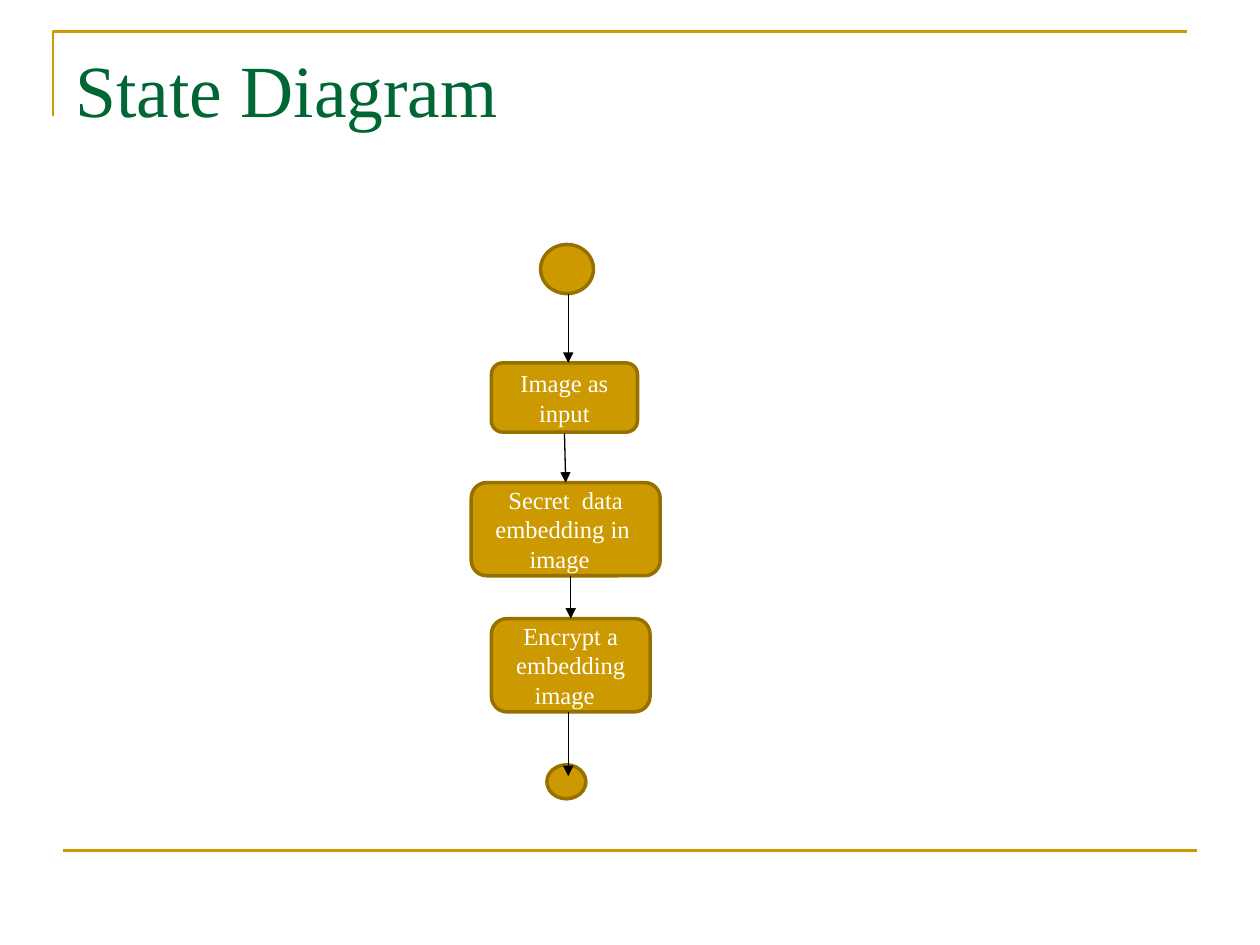
from pptx import Presentation
from pptx.dml.color import RGBColor
from pptx.enum.shapes import MSO_CONNECTOR, MSO_SHAPE
from pptx.enum.text import MSO_ANCHOR, PP_ALIGN
from pptx.oxml.ns import qn
from pptx.util import Inches, Pt
from lxml.etree import SubElement


def color(value):
    """Turn a hex string into a colour."""
    return RGBColor.from_string(value)


def write(frame, text, size=14, ink="FFFFFF", align=PP_ALIGN.CENTER, anchor=MSO_ANCHOR.MIDDLE):
    """Put formatted text into a text frame."""
    frame.word_wrap = True
    frame.vertical_anchor = anchor
    para = frame.paragraphs[0]
    para.alignment = align
    span = para.add_run()
    span.text = text
    span.font.name = "Times New Roman"
    span.font.size = Pt(size)
    span.font.color.rgb = color(ink)


class StateDiagram:
    """Hold the style and the current slide."""

    gold, edge, green, black = "CC9900", "977100", "006633", "000000"

    def __init__(self, page):
        """Start on a page."""
        self.page = page

    def title(self, text, left, top, width, height):
        """Place and fill the title."""
        box = self.page.shapes.title
        box.left, box.top, box.width, box.height = map(Inches, (left, top, width, height))
        write(box.text_frame, text, size=42, ink=self.green, align=PP_ALIGN.LEFT, anchor=MSO_ANCHOR.TOP)

    def corner(self, *points):
        """Draw an open outline through the points."""
        start, *rest = [(Inches(x), Inches(y)) for x, y in points]
        builder = self.page.shapes.build_freeform(*start)
        builder.add_line_segments(rest, close=False)
        shape = builder.convert_to_shape()
        shape.shadow.inherit = False
        shape.fill.background()
        shape.line.color.rgb = color(self.gold)
        shape.line.width = Pt(1.5)

    def node(self, kind, left, top, width, height, text=""):
        """Draw a state, with a label if given."""
        shape = self.page.shapes.add_shape(kind, *map(Inches, (left, top, width, height)))
        shape.shadow.inherit = False
        shape.fill.solid()
        shape.fill.fore_color.rgb = color(self.gold)
        shape.line.color.rgb = color(self.edge)
        shape.line.width = Pt(2)
        if text:
            write(shape.text_frame, text)

    def line(self, start, end, ink=black, width=0.75, arrow=True):
        """Draw a straight line, with an arrowhead by default."""
        link = self.page.shapes.add_connector(MSO_CONNECTOR.STRAIGHT, *map(Inches, (*start, *end)))
        link.line.color.rgb = color(ink)
        link.line.width = Pt(width)
        if arrow:
            SubElement(link.line._get_or_add_ln(), qn("a:tailEnd"), type="triangle")
        SubElement(link._element.spPr, qn("a:effectLst"))


deck = Presentation()
deck.slide_width, deck.slide_height = Inches(10), Inches(7.5)
diagram = StateDiagram(deck.slides.add_slide(deck.slide_layouts[5]))

diagram.corner((0.42, 0.92), (0.42, 0.25), (9.42, 0.25))
diagram.line((0.5, 6.75), (9.5, 6.75), ink=diagram.gold, width=1.5, arrow=False)
diagram.title("State Diagram", 0.5, 0.3, 9, 1.25)

circle, step = MSO_SHAPE.FLOWCHART_CONNECTOR, MSO_SHAPE.ROUNDED_RECTANGLE
for state in (
    (circle, 4.29, 1.94, 0.42, 0.39),
    (step, 3.9, 2.88, 1.16, 0.55, "Image as input"),
    (step, 3.74, 3.83, 1.5, 0.74, "Secret  data embedding in  image  "),
    (step, 3.9, 4.91, 1.26, 0.74, "Encrypt a embedding image  "),
    (circle, 4.34, 6.07, 0.31, 0.27),
):
    diagram.node(*state)

for start, end in (
    ((4.51, 2.33), (4.51, 2.88)),
    ((4.48, 3.44), (4.49, 3.83)),
    ((4.53, 4.57), (4.53, 4.91)),
    ((4.51, 5.65), (4.51, 6.16)),
):
    diagram.line(start, end)

deck.save("out.pptx")
